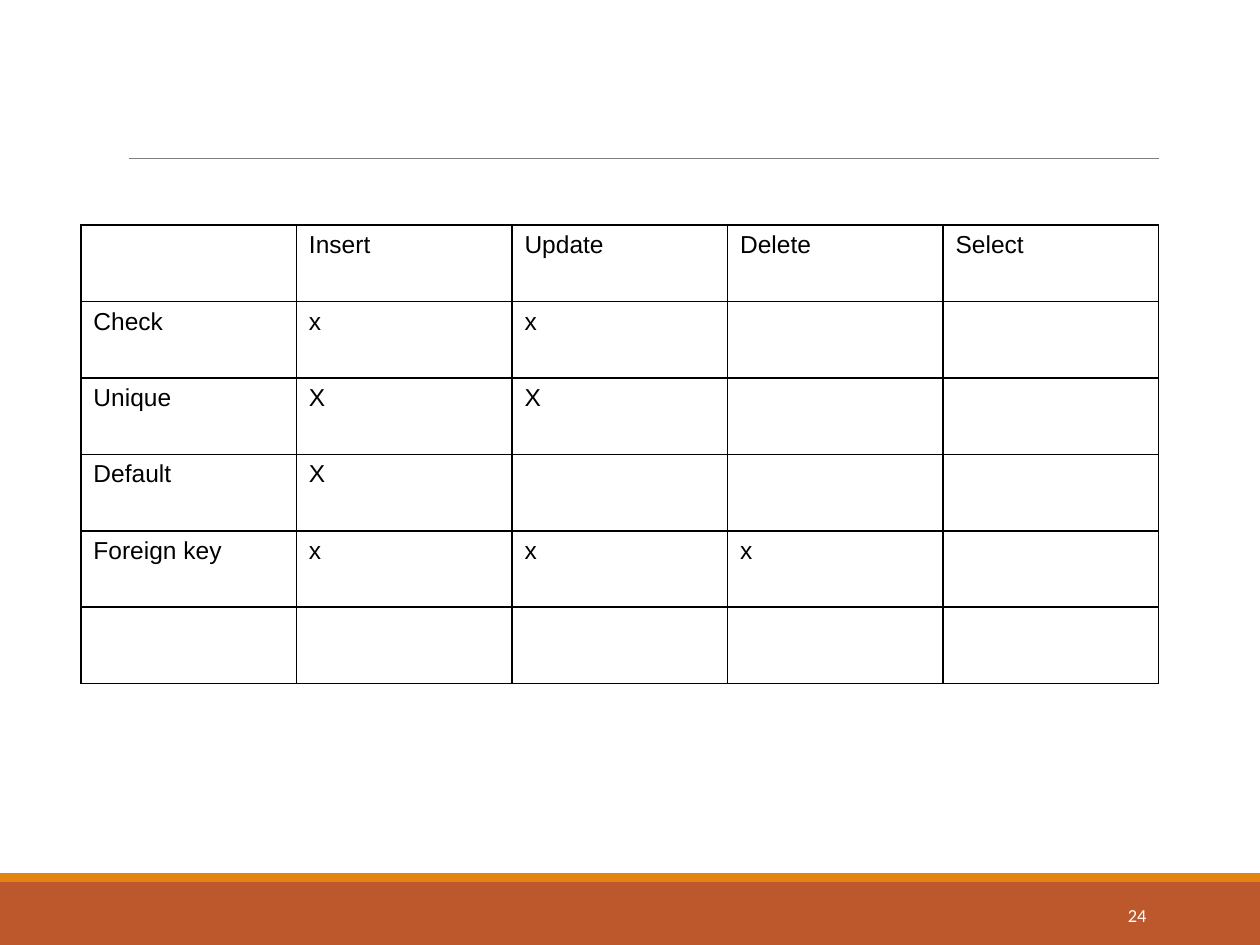
from dataclasses import dataclass

from lxml.etree import SubElement
from pptx import Presentation
from pptx.dml.color import RGBColor as Rgb
from pptx.enum.shapes import MSO_CONNECTOR as Connector, MSO_SHAPE as Shape
from pptx.enum.text import MSO_ANCHOR as Anchor, PP_ALIGN as Align
from pptx.oxml.ns import qn
from pptx.util import Cm, Pt

# Content
OPERATIONS = ["Insert", "Update", "Delete", "Select"]
CONSTRAINTS = [
    ("Check", ["x", "x", "", ""]),
    ("Unique", ["X", "X", "", ""]),
    ("Default", ["X", "", "", ""]),
    ("Foreign key", ["x", "x", "x", ""]),
    ("", ["", "", "", ""]),
]
PAGE_NUMBER = "24"


@dataclass(frozen=True)
class Theme:
    footer: str = "BD582C"
    accent: str = "E48312"
    rule: str = "7F7F7F"
    ink: str = "000000"
    paper: str = "FFFFFF"
    table_font: str = "Arial"
    number_font: str = "Calibri"
    table_size: float = 14
    number_size: float = 10.5


THEME = Theme()
WIDTH, HEIGHT = Cm(25.4), Cm(19.05)
FOOTER_TOP, ACCENT_HEIGHT = Cm(17.78), Cm(0.18)
TABLE_LEFT, TABLE_TOP = Cm(1.63), Cm(4.54)
COLUMN_WIDTH, ROW_HEIGHT = Cm(4.345), Cm(1.54)


def write(frame, text, *, font, size, color, align=Align.LEFT):
    paragraph = frame.paragraphs[0]
    paragraph.alignment = align
    paragraph.font.size = Pt(size)
    if text:
        run = paragraph.add_run()
        run.text = text
        run.font.name = font
        run.font.size = Pt(size)
        run.font.color.rgb = Rgb.from_string(color)


def add_band(slide, top, height, color):
    band = slide.shapes.add_shape(Shape.RECTANGLE, 0, top, WIDTH, height)
    band.shadow.inherit = False
    band.fill.solid()
    band.fill.fore_color.rgb = Rgb.from_string(color)
    band.line.fill.background()


def add_borders(cell, color, points):
    properties = cell._tc.get_or_add_tcPr()
    for position, side in enumerate(("lnL", "lnR", "lnT", "lnB")):
        border = properties.makeelement(qn(f"a:{side}"), {"w": str(Pt(points))})
        fill = SubElement(border, qn("a:solidFill"))
        SubElement(fill, qn("a:srgbClr"), val=color)
        properties.insert(position, border)


def add_matrix(slide):
    rows = [["", *OPERATIONS]] + [[name, *marks] for name, marks in CONSTRAINTS]
    row_count, column_count = len(rows), len(rows[0])
    matrix = slide.shapes.add_table(
        row_count, column_count, TABLE_LEFT, TABLE_TOP,
        COLUMN_WIDTH * column_count, ROW_HEIGHT * row_count).table
    matrix.first_row = matrix.horz_banding = False
    for column in matrix.columns:
        column.width = COLUMN_WIDTH
    for row, texts in zip(matrix.rows, rows):
        row.height = ROW_HEIGHT
        for cell, text in zip(row.cells, texts):
            cell.fill.background()
            add_borders(cell, THEME.ink, 1)
            write(cell.text_frame, text, font=THEME.table_font,
                  size=THEME.table_size, color=THEME.ink)


def main():
    deck = Presentation()
    deck.slide_width, deck.slide_height = WIDTH, HEIGHT
    slide = deck.slides.add_slide(deck.slide_layouts[6])
    slide.background.fill.solid()
    slide.background.fill.fore_color.rgb = Rgb.from_string(THEME.paper)

    # Footer bands
    add_band(slide, FOOTER_TOP, HEIGHT - FOOTER_TOP, THEME.footer)
    add_band(slide, FOOTER_TOP - ACCENT_HEIGHT, ACCENT_HEIGHT, THEME.accent)

    # Title rule
    rule = slide.shapes.add_connector(
        Connector.STRAIGHT, Cm(2.6), Cm(3.2), Cm(23.37), Cm(3.2))
    rule.line.color.rgb = Rgb.from_string(THEME.rule)
    rule.line.width = Pt(0.75)
    SubElement(rule._element.spPr, qn("a:effectLst"))

    # Page number
    number = slide.shapes.add_textbox(Cm(20.62), Cm(17.93), Cm(2.74), Cm(1.02))
    number.text_frame.word_wrap = True
    number.text_frame.vertical_anchor = Anchor.MIDDLE
    write(number.text_frame, PAGE_NUMBER, font=THEME.number_font,
          size=THEME.number_size, color=THEME.paper, align=Align.RIGHT)

    # Constraint table
    add_matrix(slide)
    deck.save("out.pptx")


if __name__ == "__main__":
    main()
